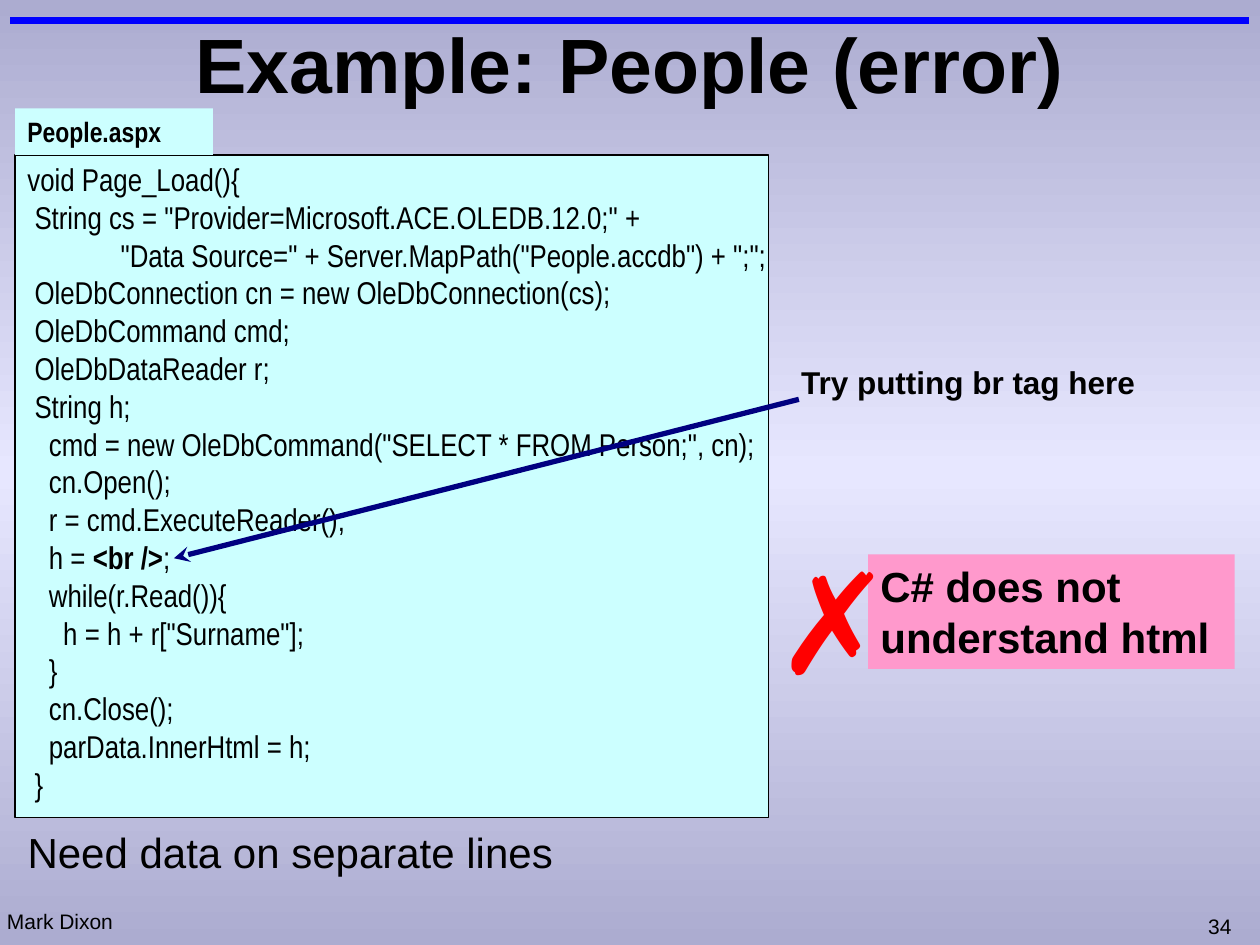
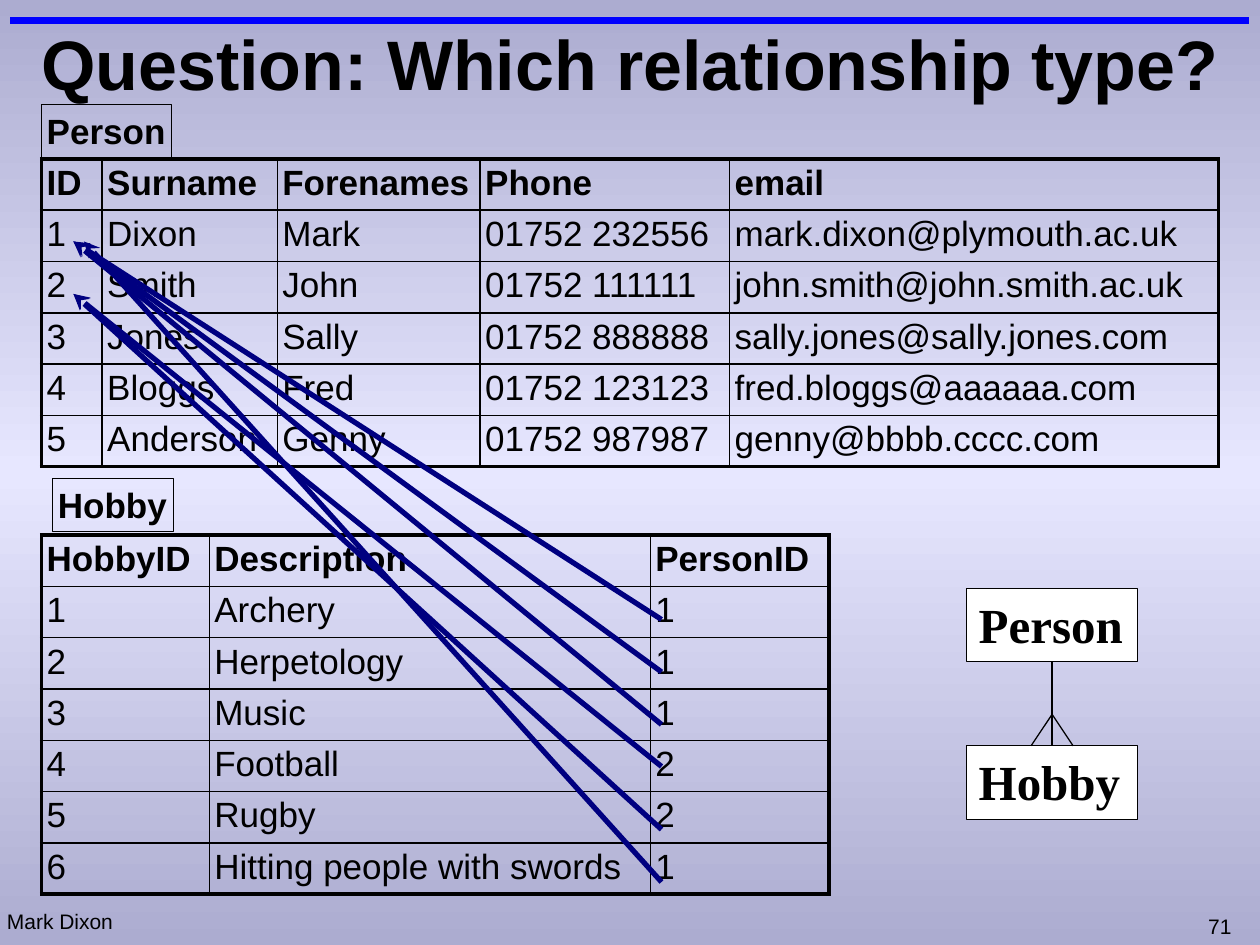
from copy import deepcopy
from dataclasses import dataclass

from pptx import Presentation
from pptx.dml.color import RGBColor
from pptx.enum.shapes import MSO_CONNECTOR as Connector, MSO_SHAPE as Preset
from pptx.enum.text import MSO_ANCHOR as Anchor, MSO_AUTO_SIZE as AutoSize, PP_ALIGN as Align
from pptx.oxml.ns import qn
from pptx.oxml.xmlchemy import OxmlElement
from pptx.util import Pt


@dataclass(frozen=True)
class Theme:
    ink: str = "000000"
    edge: str = "ACACD0"
    glow: str = "E7E7FF"
    rule: str = "0000FF"
    arrow: str = "000080"
    code_fill: str = "CCFFFF"
    warning: str = "FF99CC"
    cross: str = "FF0000"
    paper: str = "FFFFFF"
    sans: str = "Arial"
    narrow: str = "Arial Narrow"
    serif: str = "Times New Roman"
    title_size: int = 44
    long_title_size: int = 40
    entity_size: int = 28
    body_size: int = 24
    table_size: int = 20
    code_size: int = 18
    tab_size: int = 16
    footer_size: int = 12
    cross_size: int = 80


@dataclass(frozen=True)
class Box:
    left: float
    top: float
    width: float
    height: float

    @property
    def bottom(self):
        return self.top + self.height

    @property
    def points(self):
        return [Pt(v) for v in (self.left, self.top, self.width, self.height)]


THEME = Theme()
WIDTH, HEIGHT = 720, 540
TIGHT = 2.88
ROW_HEIGHT = 28.35

CODE = '''\
 void Page_Load(){
  String cs = "Provider=Microsoft.ACE.OLEDB.12.0;" +
              "Data Source=" + Server.MapPath("People.accdb") + ";";
  OleDbConnection cn = new OleDbConnection(cs);
  OleDbCommand cmd;
  OleDbDataReader r;
  String h;
    cmd = new OleDbCommand("SELECT * FROM Person;", cn);
    cn.Open();
    r = cmd.ExecuteReader();
    h = <br />;
    while(r.Read()){
      h = h + r["Surname"];
    }
    cn.Close();
    parData.InnerHtml = h;
  }'''

PEOPLE = [
    ("ID", "Surname", "Forenames", "Phone", "email"),
    ("1", "Dixon", "Mark", "01752 232556", "mark.dixon@plymouth.ac.uk"),
    ("2", "Smith", "John", "01752 111111", "john.smith@john.smith.ac.uk"),
    ("3", "Jones", "Sally", "01752 888888", "sally.jones@sally.jones.com"),
    ("4", "Bloggs", "Fred", "01752 123123", "fred.bloggs@aaaaaa.com"),
    ("5", "Anderson", "Genny", "01752 987987", "genny@bbbb.cccc.com"),
]
HOBBIES = [
    ("HobbyID", "Description", "PersonID"),
    ("1", "Archery", "1"),
    ("2", "Herpetology", "1"),
    ("3", "Music", "1"),
    ("4", "Football", "2"),
    ("5", "Rugby", "2"),
    ("6", "Hitting people with swords", "1"),
]


def color(value):
    return RGBColor.from_string(value)


def format_span(span, size, font=THEME.sans, bold=False, ink=THEME.ink):
    span.font.size, span.font.name, span.font.bold = Pt(size), font, bold
    span.font.color.rgb = color(ink)


def set_insets(target, across, down):
    target.margin_left = target.margin_right = Pt(across)
    target.margin_top = target.margin_bottom = Pt(down)


def add_text(page, box, text, *, size, font=THEME.sans, bold=False, ink=THEME.ink,
             fill=None, line=None, wrap=False, insets=(7.2, 3.6), bold_part=None):
    """Place text in a plain box, or in a rectangle when it has a fill or line."""
    if fill or line:
        shape = add_rectangle(page, box, fill, line)
    else:
        shape = page.shapes.add_textbox(*box.points)
    frame = shape.text_frame
    frame.word_wrap, frame.auto_size = wrap, AutoSize.SHAPE_TO_FIT_TEXT
    frame.vertical_anchor = Anchor.TOP
    set_insets(frame, *insets)
    for index, content in enumerate(text.split("\n")):
        para = frame.paragraphs[0] if index == 0 else frame.add_paragraph()
        para.alignment = Align.LEFT
        parts = content.partition(bold_part) if bold_part else (content,)
        for part in filter(None, parts):
            span = para.add_run()
            span.text = part
            format_span(span, size, font, bold or part == bold_part, ink)


def add_rectangle(page, box, fill=None, line=None):
    shape = page.shapes.add_shape(Preset.RECTANGLE, *box.points)
    shape.shadow.inherit = False
    if fill:
        shape.fill.solid()
        shape.fill.fore_color.rgb = color(fill)
    else:
        shape.fill.background()
    if line:
        shape.line.color.rgb, shape.line.width = color(THEME.ink), Pt(line)
    else:
        shape.line.fill.background()
    return shape


def add_line(page, start, end, ink=THEME.ink, weight=0.75, arrow=False):
    line = page.shapes.add_connector(Connector.STRAIGHT, *map(Pt, (*start, *end)))
    line.line.color.rgb, line.line.width = color(ink), Pt(weight)
    if arrow:
        tail = OxmlElement("a:tailEnd")
        tail.set("type", "stealth")
        line.line._get_or_add_ln().append(tail)
    line._element.spPr.append(OxmlElement("a:effectLst"))


def add_arrow(page, start, end):
    add_line(page, start, end, THEME.arrow, 3, arrow=True)


def paint_background(master):
    fill = master.background.fill
    fill.gradient()
    fill.gradient_angle = 90
    for stop, position, tone in zip(fill.gradient_stops, (0, 0.5), (THEME.edge, THEME.glow)):
        stop.position, stop.color.rgb = position, color(tone)
    stops = master.element.find(".//" + qn("a:gsLst"))
    last = deepcopy(stops[0])
    last.set("pos", "100000")
    stops.append(last)


def add_page(deck, title, number, size):
    """Add a page with the shared rule, title and footer."""
    page = deck.slides.add_slide(deck.slide_layouts[5])
    add_line(page, (6, 12), (WIDTH - 6, 12), THEME.rule, 4)
    add_text(page, Box(0, 515.5, 72, 21.6), "Mark Dixon", size=THEME.footer_size,
             insets=(4, 3.6))
    add_text(page, Box(683.3, 518.4, 28.8, 21.6), str(number), size=THEME.footer_size)
    heading = page.shapes.title
    heading.left, heading.top, heading.width, heading.height = Box(0, 0, WIDTH, 72).points
    frame = heading.text_frame
    frame.auto_size, frame.vertical_anchor = AutoSize.NONE, Anchor.MIDDLE
    frame.text = title
    para = frame.paragraphs[0]
    para.alignment = Align.CENTER
    format_span(para.runs[0], size, bold=True)
    return page


def add_code_panel(page, box, file_name, code, bold_part):
    add_rectangle(page, box, THEME.code_fill, 1)
    tab_height = 26.6
    add_text(page, Box(box.left, box.top - tab_height, 113, tab_height), file_name,
             size=THEME.tab_size, font=THEME.narrow, bold=True, fill=THEME.code_fill, wrap=True)
    add_text(page, Box(box.left, box.top, box.width + 7.2, box.height), code,
             size=THEME.code_size, font=THEME.narrow, insets=(TIGHT, TIGHT), bold_part=bold_part)


def add_error_note(page, box, text):
    add_text(page, box, text, size=THEME.body_size, bold=True, fill=THEME.warning, wrap=True)
    add_text(page, Box(box.left - 59.8, box.top - 15.1, 65.5, 104.4), "✗",
             size=THEME.cross_size, bold=True, ink=THEME.cross)


def set_borders(cell, weights):
    """Draw the left, right, top and bottom borders, in that order."""
    for side, weight in zip("LRTB", weights):
        border = OxmlElement(f"a:ln{side}")
        border.set("w", str(Pt(weight)))
        fill = OxmlElement("a:solidFill")
        tone = OxmlElement("a:srgbClr")
        tone.set("val", THEME.ink)
        fill.append(tone)
        border.append(fill)
        cell._tc.get_or_add_tcPr().append(border)


def add_grid(page, left, top, widths, records):
    """Add a clear table with a heavy frame, thin inner lines and a bold first row."""
    rows, columns = len(records), len(widths)
    box = Box(left, top, sum(widths), rows * ROW_HEIGHT)
    table = page.shapes.add_table(rows, columns, *box.points).table
    table.first_row = table.horz_banding = False
    for column, width in zip(table.columns, widths):
        column.width = Pt(width)
    for r, record in enumerate(records):
        table.rows[r].height = Pt(ROW_HEIGHT)
        for c, value in enumerate(record):
            cell = table.cell(r, c)
            set_insets(cell, TIGHT, 2.65)
            outer = (c == 0, c == columns - 1, r == 0, r == rows - 1)
            set_borders(cell, [2.25 if edge else 1 for edge in outer])
            cell.fill.background()
            span = cell.text_frame.paragraphs[0].add_run()
            span.text = value
            format_span(span, THEME.table_size, bold=r == 0)


def add_table_label(page, box, name):
    add_text(page, box, name, size=THEME.table_size, bold=True, line=0.75,
             insets=(TIGHT, TIGHT))


def add_key_links(page):
    """Point each hobby's PersonID at the matching person."""
    person_tops = {"1": 138, "2": 168}
    starts = (354, 384, 414, 438, 474, 504)
    ends = (42, 42, 42, 42, 42, 48)
    for hobby, start, end in zip(HOBBIES[1:], starts, ends):
        add_arrow(page, (378, start), (end, person_tops[hobby[-1]]))


def add_relationship(page, box, one, many):
    """Stack two entities joined by a one-to-many crow's foot."""
    height = 42
    foot = box.bottom - height
    for name, top in ((one, box.top), (many, foot)):
        add_text(page, Box(box.left, top, box.width, height), name, size=THEME.entity_size,
                 font=THEME.serif, bold=True, fill=THEME.paper, line=0.75)
    middle = box.left + box.width / 2
    add_line(page, (middle, box.top + height), (middle, foot))
    for spread in (-12, 12):
        add_line(page, (middle, foot - 18), (middle + spread, foot))


def add_error_page(deck):
    page = add_page(deck, "Example: People (error)", 34, THEME.title_size)
    panel = Box(8.64, 88.56, 430.56, 378.72)
    add_code_panel(page, panel, "People.aspx", CODE, "<br />")
    add_text(page, Box(panel.left, 468.7, 315.4, 36), "Need data on separate lines",
             size=THEME.body_size)
    add_text(page, Box(450.7, 203.8, 206.6, 28.8), "Try putting br tag here",
             size=THEME.code_size, bold=True)
    add_arrow(page, (456.5, 228.2), (99.4, 319))
    add_error_note(page, Box(496, 316.8, 209.5, 65.5), "C# does not understand html")


def add_relationship_page(deck):
    page = add_page(deck, "Question: Which relationship type?", 71, THEME.long_title_size)
    left = 23.8
    add_grid(page, left, 90.8, (34.6, 100.1, 115.9, 142.6, 279.4), PEOPLE)
    add_grid(page, left, 305.8, (95.8, 252, 102.2), HOBBIES)
    add_table_label(page, Box(30.2, 273.6, 69.1, 30.2), "Hobby")
    add_table_label(page, Box(left, 59.8, 74.2, 30.2), "Person")
    add_key_links(page)
    add_relationship(page, Box(552.2, 336.2, 98, 132), "Person", "Hobby")


def main():
    deck = Presentation()
    deck.slide_width, deck.slide_height = Pt(WIDTH), Pt(HEIGHT)
    paint_background(deck.slide_master)
    add_error_page(deck)
    add_relationship_page(deck)
    deck.save("out.pptx")


if __name__ == "__main__":
    main()
